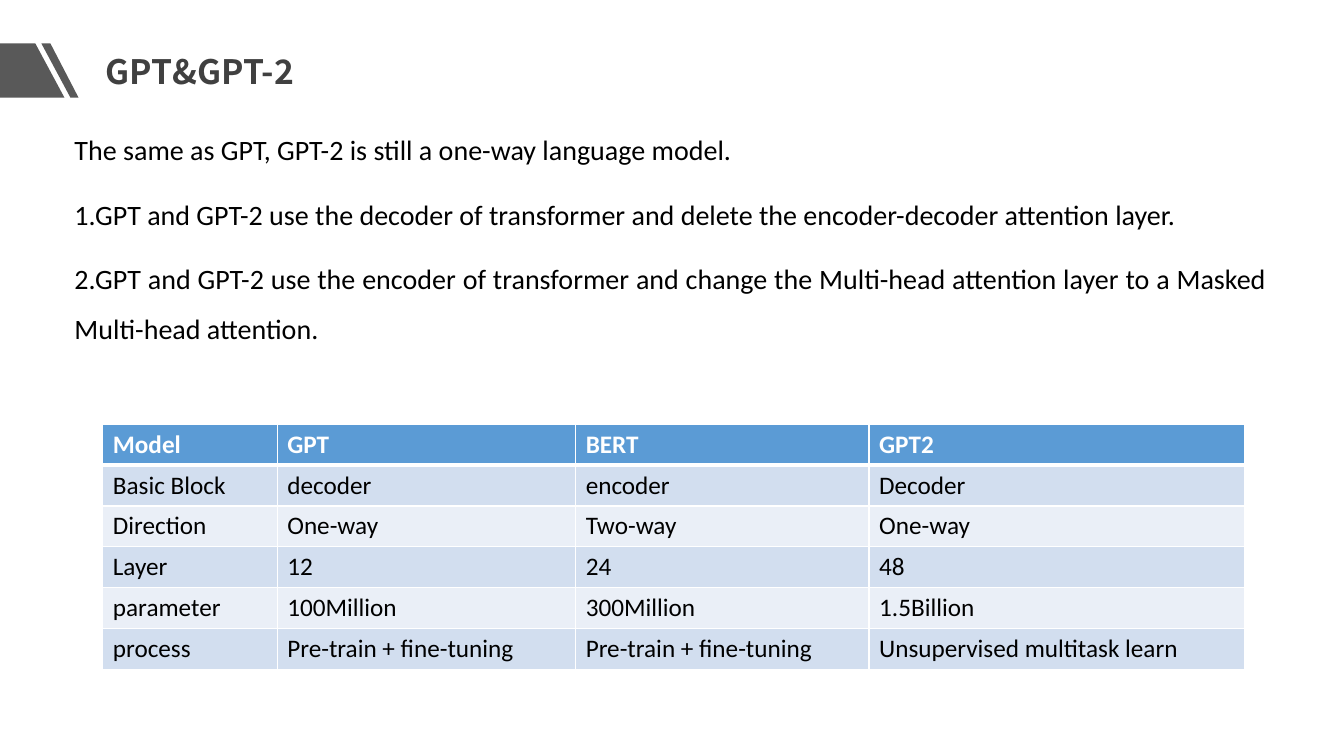
"""Build the slide comparing GPT, BERT and GPT-2."""
from lxml.etree import SubElement
from pptx import Presentation
from pptx.dml.color import RGBColor
from pptx.enum.text import MSO_ANCHOR, MSO_AUTO_SIZE, PP_ALIGN
from pptx.oxml.ns import qn
from pptx.util import Pt

PX = 9144
GREY = RGBColor(0x59, 0x59, 0x59)
TITLE_GREY = RGBColor(0x40, 0x40, 0x40)
BLACK = RGBColor(0, 0, 0)
WHITE = RGBColor(0xFF, 0xFF, 0xFF)
HEADER_BLUE = RGBColor(0x5B, 0x9B, 0xD5)
BAND_DARK = RGBColor(0xD2, 0xDE, 0xEF)
BAND_LIGHT = RGBColor(0xEA, 0xEF, 0xF7)

STATEMENTS = [
    "The same as GPT, GPT-2 is still a one-way language model.",
    "1.GPT and GPT-2 use the decoder of transformer and delete the encoder-decoder attention layer.",
    "2.GPT and GPT-2 use the encoder of transformer and change the Multi-head attention layer "
    "to a Masked Multi-head attention.",
]
MODELS = [
    ["Model", "GPT", "BERT", "GPT2"],
    ["Basic Block", "decoder", "encoder", "Decoder"],
    ["Direction", "One-way", "Two-way", "One-way"],
    ["Layer", "12", "24", "48"],
    ["parameter", "100Million", "300Million", "1.5Billion"],
    ["process", "Pre-train + fine-tuning", "Pre-train + fine-tuning", "Unsupervised multitask learn"],
]
COLUMN_WIDTHS = [173, 296, 291, 372]
ROW_HEIGHT = 40.5
TITLE_MARKS = [
    [(0, 43), (35, 43), (64, 97), (0, 97)],
    [(41, 43), (50, 43), (78, 97), (70, 97)],
]


def style_runs(paragraph, font_name, size, color, bold=False):
    for run in paragraph.runs:
        run.font.name = font_name
        run.font.size = Pt(size)
        run.font.color.rgb = color
        run.font.bold = bold


def add_border(cell, side, points):
    line = SubElement(cell._tc.get_or_add_tcPr(), qn(f"a:{side}"), w=str(Pt(points)))
    fill = SubElement(line, qn("a:solidFill"))
    SubElement(fill, qn("a:srgbClr"), val=str(WHITE))


prs = Presentation()
prs.slide_width, prs.slide_height = 1333 * PX, 750 * PX
slide = prs.slides.add_slide(prs.slide_layouts[5])

for corners in TITLE_MARKS:
    outline = slide.shapes.build_freeform(*corners[0], scale=PX)
    outline.add_line_segments(corners[1:], close=True)
    mark = outline.convert_to_shape()
    mark.shadow.inherit = False
    mark.fill.solid()
    mark.fill.fore_color.rgb = GREY
    mark.line.fill.background()

title = slide.shapes.title
title.left, title.top, title.width, title.height = 95 * PX, 45 * PX, 548 * PX, 50 * PX
title.text_frame.text = "GPT&GPT-2"
title.text_frame.auto_size = MSO_AUTO_SIZE.SHAPE_TO_FIT_TEXT
title.text_frame.vertical_anchor = MSO_ANCHOR.TOP
heading = title.text_frame.paragraphs[0]
heading.alignment = PP_ALIGN.LEFT
style_runs(heading, "Noto Sans CJK SC", 24, TITLE_GREY, bold=True)

body = slide.shapes.add_textbox(64 * PX, 110 * PX, 1202 * PX, 416 * PX).text_frame
body.word_wrap = True
body.text = "\n".join(STATEMENTS)
for index, statement in enumerate(body.paragraphs):
    statement.alignment = PP_ALIGN.JUSTIFY
    statement.line_spacing = 1.5
    statement.space_before = Pt(10 if index else 0)
    style_runs(statement, "Calibri", 20, BLACK)

comparison = slide.shapes.add_table(
    len(MODELS), len(COLUMN_WIDTHS), 102 * PX, 421 * PX,
    sum(COLUMN_WIDTHS) * PX, int(len(MODELS) * ROW_HEIGHT * PX),
).table
for column, width in zip(comparison.columns, COLUMN_WIDTHS):
    column.width = width * PX
for row_index, values in enumerate(MODELS):
    comparison.rows[row_index].height = int(ROW_HEIGHT * PX)
    is_header = row_index == 0
    band = HEADER_BLUE if is_header else BAND_DARK if row_index % 2 else BAND_LIGHT
    for column_index, value in enumerate(values):
        cell = comparison.cell(row_index, column_index)
        cell.text_frame.text = value
        style_runs(cell.text_frame.paragraphs[0], "Calibri", 18, WHITE if is_header else BLACK, is_header)
        add_border(cell, "lnL", 1)
        add_border(cell, "lnR", 1)
        add_border(cell, "lnT", 3 if row_index == 1 else 1)
        add_border(cell, "lnB", 3 if is_header else 1)
        cell.fill.solid()
        cell.fill.fore_color.rgb = band

prs.save("out.pptx")
